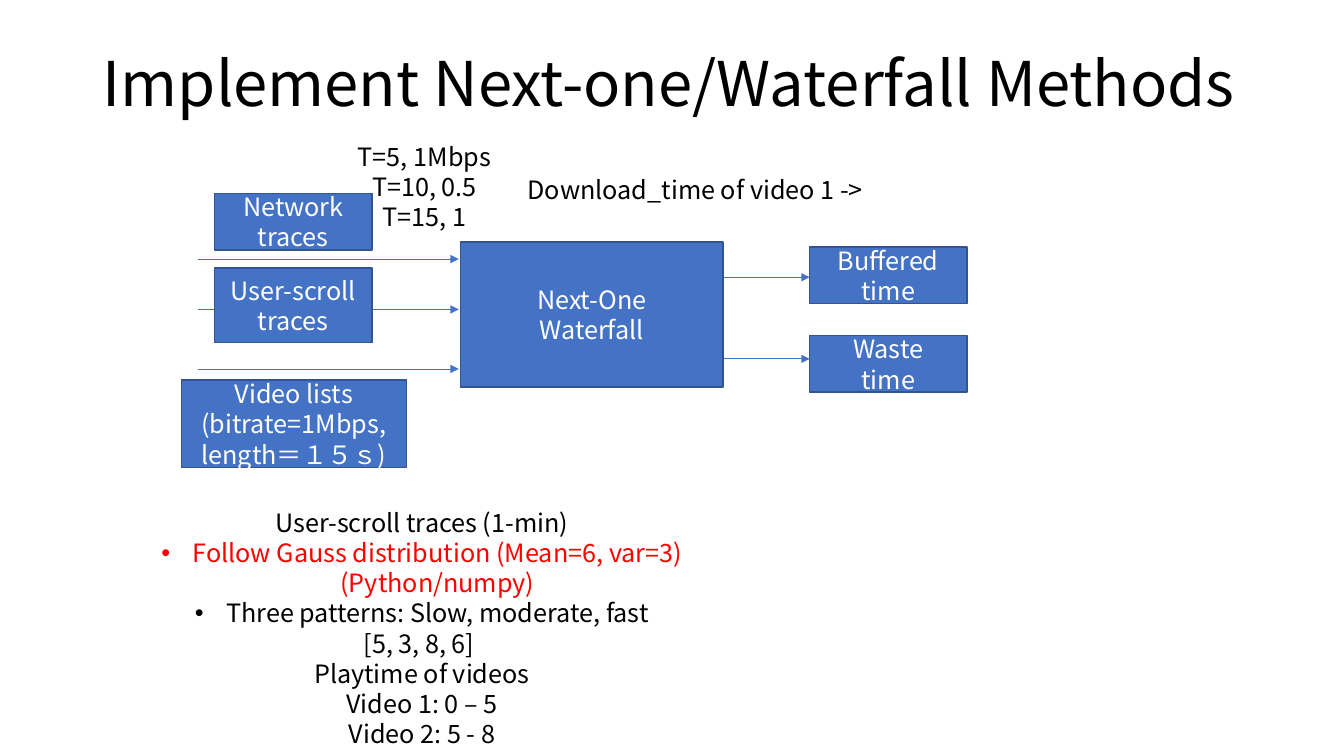
from dataclasses import dataclass

from lxml import etree
from pptx import Presentation, util as u
from pptx.dml.color import RGBColor
from pptx.enum import shapes, text
from pptx.oxml import ns


@dataclass(frozen=True)
class Theme:
    font: str = "Noto Sans CJK JP"
    black: str = "000000"
    white: str = "FFFFFF"
    red: str = "FF0000"
    blue: str = "4472C4"
    edge: str = "325491"
    title_size: int = 44
    body_size: int = 18
    line_pitch: float = 21.6


theme = Theme()

# Content: places are left, top, width, height in inches
TITLE = "Implement Next-one/Waterfall Methods"
TITLE_PLACE = (0.92, 0.4, 11.5, 0.91)
METHOD = (["Next-One", "Waterfall"], (4.57, 2.4, 2.6, 1.44))
INPUTS = [
    (["Network traces"], (2.13, 1.92, 1.56, 0.56)),
    (["User-scroll traces"], (2.13, 2.66, 1.56, 0.74)),
    (["Video lists", "(bitrate=1Mbps, length＝１５ｓ)"], (1.8, 3.77, 2.23, 0.87)),
]
OUTPUTS = [
    (["Buffered time"], (8.03, 2.45, 1.56, 0.56)),
    (["Waste", "time"], (8.03, 3.33, 1.56, 0.56)),
]
INPUT_ARROWS = (1.96, 4.55, [2.57, 3.07, 3.66])  # from x, to x, heights
OUTPUT_ARROWS = (7.18, 8.03, [2.75, 3.56])

# Note lines are text, colour, bulleted
NOTES = [
    ((1.17, 4.98, 6.03, 2.52), [
        ("User-scroll traces (1-min)", theme.black, False),
        ("Follow Gauss distribution (Mean=6, var=3) (Python/numpy)", theme.red, True),
        ("Three patterns: Slow, moderate, fast", theme.black, True),
        ("[5, 3, 8, 6] ", theme.black, False),
        ("Playtime of videos", theme.black, False),
        ("Video 1: 0 – 5", theme.black, False),
        ("Video 2: 5 - 8", theme.black, False),
    ]),
    ((3.25, 1.35, 1.92, 1.01), [
        (line, theme.black, False) for line in ("T=5, 1Mbps", "T=10, 0.5", "T=15, 1")
    ]),
    ((4.89, 1.68, 4.07, 0.4), [("Download_time of video 1 -> ", theme.black, False)]),
]


def color(value):
    return RGBColor.from_string(value)


def inches(place):
    return [u.Inches(length) for length in place]


def add_span(para, words, size, ink):
    span = para.add_run()
    span.text = words
    span.font.name = theme.font
    span.font.size = u.Pt(size)
    span.font.color.rgb = color(ink)
    east_asian = etree.SubElement(span.font._element, ns.qn("a:ea"))
    east_asian.set("typeface", theme.font)


def add_bullet(para):
    props = para._p.get_or_add_pPr()
    indent = u.Inches(0.31)
    props.set("marL", str(indent))
    props.set("indent", str(-indent))
    etree.SubElement(props, ns.qn("a:buFont")).set("typeface", "Arial")
    etree.SubElement(props, ns.qn("a:buChar")).set("char", "•")


def fill_lines(frame, lines):
    frame.word_wrap = True
    for index, (words, ink, bulleted) in enumerate(lines):
        para = frame.add_paragraph() if index else frame.paragraphs[0]
        para.alignment = text.PP_ALIGN.CENTER
        para.line_spacing = u.Pt(theme.line_pitch)
        if bulleted:
            add_bullet(para)
        add_span(para, words, theme.body_size, ink)


def add_box(page, lines, place):
    box = page.shapes.add_shape(shapes.MSO_SHAPE.RECTANGLE, *inches(place))
    box.shadow.inherit = False
    box.fill.solid()
    box.fill.fore_color.rgb = color(theme.blue)
    box.line.color.rgb = color(theme.edge)
    box.line.width = u.Pt(1)
    box.text_frame.vertical_anchor = text.MSO_ANCHOR.MIDDLE
    fill_lines(box.text_frame, [(line, theme.white, False) for line in lines])


def add_arrows(page, start, end, heights):
    for y in heights:
        arrow = page.shapes.add_connector(
            shapes.MSO_CONNECTOR.STRAIGHT, *inches((start, y, end, y)))
        arrow.line.color.rgb = color(theme.blue)
        arrow.line.width = u.Pt(0.5)
        head = etree.SubElement(arrow.line._get_or_add_ln(), ns.qn("a:tailEnd"))
        head.set("type", "triangle")
        etree.SubElement(arrow._element.spPr, ns.qn("a:effectLst"))


# Page and title
deck = Presentation()
deck.slide_width, deck.slide_height = u.Inches(13.33), u.Inches(7.5)
page = deck.slides.add_slide(deck.slide_layouts.get_by_name("Title Only"))
title = page.shapes.title
title.left, title.top, title.width, title.height = inches(TITLE_PLACE)
title.text_frame.auto_size = text.MSO_AUTO_SIZE.NONE
title.text_frame.vertical_anchor = text.MSO_ANCHOR.MIDDLE
heading = title.text_frame.paragraphs[0]
heading.alignment = text.PP_ALIGN.LEFT
heading.line_spacing = 0.9
add_span(heading, TITLE, theme.title_size, theme.black)

# Flow from inputs through the method to outputs
add_box(page, *METHOD)
for arrows, boxes in ((INPUT_ARROWS, INPUTS), (OUTPUT_ARROWS, OUTPUTS)):
    add_arrows(page, *arrows)
    for lines, place in boxes:
        add_box(page, lines, place)

# Notes around the flow
for place, lines in NOTES:
    note = page.shapes.add_textbox(*inches(place))
    fill_lines(note.text_frame, lines)
    note.text_frame.auto_size = text.MSO_AUTO_SIZE.SHAPE_TO_FIT_TEXT

deck.save("out.pptx")
